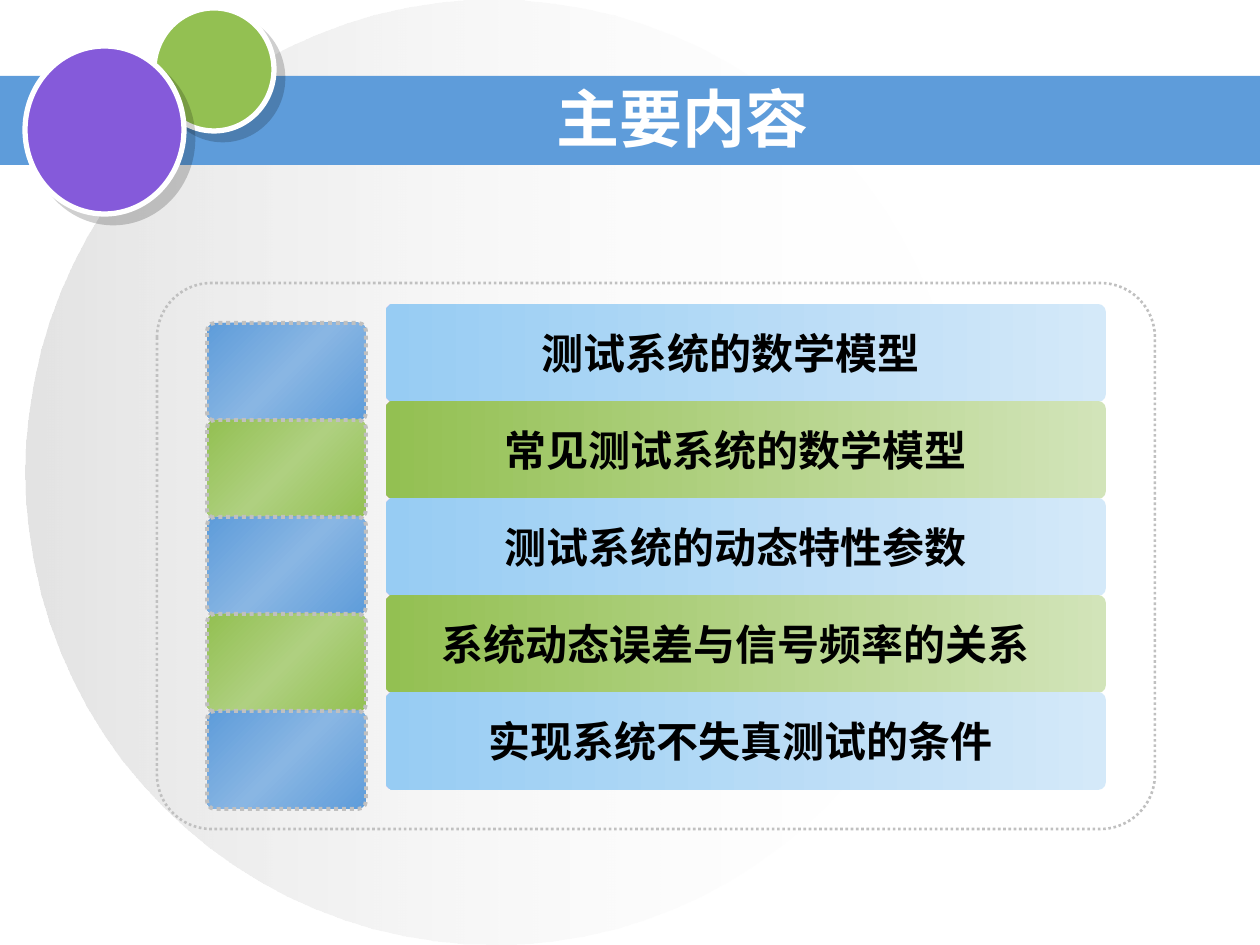
from lxml import etree
from pptx import Presentation
from pptx.dml.color import RGBColor
from pptx.enum.dml import MSO_LINE
from pptx.enum.shapes import MSO_SHAPE
from pptx.enum.text import MSO_ANCHOR, PP_ALIGN
from pptx.oxml.ns import qn
from pptx.util import Pt

PX = 914400 / 126
OVAL, RECT, ROUND = MSO_SHAPE.OVAL, MSO_SHAPE.RECTANGLE, MSO_SHAPE.ROUNDED_RECTANGLE
DOTTED = MSO_LINE.ROUND_DOT
CENTER, MIDDLE = PP_ALIGN.CENTER, MSO_ANCHOR.MIDDLE

COLORS = {
    "white": "FFFFFF", "black": "000000", "near_white": "FEFEFE", "grey": "C0C0C0",
    "blue": "5E9CDA", "blue_mid": "89B6E3", "sky": "97CCF3", "sky_pale": "D4E9F9",
    "green": "93C052", "green_mid": "AFD080", "green_pale": "D2E4B9",
    "purple": "855ADA",
}
# Each topic: text and how many px its centre sits left of the bar's centre
TOPICS = [
    ("测试系统的数学模型", 15),
    ("常见测试系统的数学模型", 10),
    ("测试系统的动态特性参数", 10),
    ("系统动态误差与信号频率的关系", 10),
    ("实现系统不失真测试的条件", 5),
]
# Bar gradient and tile gradient, alternating by row
ROW_STYLES = [
    (["sky_pale", "sky"], ["blue", "blue_mid", "blue"]),
    (["green_pale", "green"], ["green", "green_mid", "green"]),
]
ROW_PITCH = 97


def emu(px):
    return round(px * PX)


def rgb(name):
    return RGBColor.from_string(COLORS[name])


def add_color(parent, name, opacity):
    clr = etree.SubElement(parent, qn("a:srgbClr"), val=COLORS[name])
    if opacity < 100:
        etree.SubElement(clr, qn("a:alpha"), val=str(opacity * 1000))


class Deck:
    """Holds the style and the current slide."""

    font = "Arial"

    def __init__(self):
        self.prs = Presentation()
        self.prs.slide_width, self.prs.slide_height = emu(1260), emu(945)
        self.s = self.prs.slides.add_slide(self.prs.slide_layouts[5])

    def shape(self, kind, x, y, w, h, fill=None, line=None, width=1, dash=None, radius=None):
        sp = self.s.shapes.add_shape(kind, emu(x), emu(y), emu(w), emu(h))
        sp.shadow.inherit = False
        if radius is not None:
            sp.adjustments[0] = radius
        if fill:
            sp.fill.solid()
            sp.fill.fore_color.rgb = rgb(fill)
        else:
            sp.fill.background()
        if line:
            sp.line.color.rgb = rgb(line)
            sp.line.width = Pt(width)
            if dash:
                sp.line.dash_style = dash
        else:
            sp.line.fill.background()
        return sp

    def gradient(self, sp, names, angle, opacities=(100, 100, 100)):
        """Fill with evenly spaced stops; angle is clockwise in degrees."""
        sp.fill.gradient()
        grad = sp._element.spPr.find(qn("a:gradFill"))
        for child in list(grad):
            grad.remove(child)
        stops = etree.SubElement(grad, qn("a:gsLst"))
        for i, (name, opacity) in enumerate(zip(names, opacities)):
            pos = 100000 * i // (len(names) - 1)
            add_color(etree.SubElement(stops, qn("a:gs"), pos=str(pos)), name, opacity)
        etree.SubElement(grad, qn("a:lin"), ang=str(angle * 60000), scaled="0")

    def badge(self, x, y, w, h, fill):
        """White-ringed circle with a hard shadow to the lower right."""
        sp = self.shape(OVAL, x, y, w, h, fill, "white", 3)
        effects = sp._element.spPr.find(qn("a:effectLst"))
        shadow = etree.SubElement(effects, qn("a:outerShdw"), blurRad="0",
                                  dist=str(Pt(7.1)), dir=str(45 * 60000),
                                  algn="ctr", rotWithShape="0")
        add_color(shadow, "black", 19)

    def text(self, sp, text, size, color, shift):
        """Centre the text, moved left by shift px."""
        tf = sp.text_frame
        tf.word_wrap = True
        tf.vertical_anchor = MIDDLE
        tf.margin_left, tf.margin_right = emu(13), emu(13 + 2 * shift)
        tf.margin_top = tf.margin_bottom = emu(6)
        p = tf.paragraphs[0]
        p.text = text
        p.alignment = CENTER
        p.font.name, p.font.size, p.font.bold = self.font, Pt(size), True
        p.font.color.rgb = rgb(color)

    def title(self, text, x, y, w, h):
        sp = self.s.shapes.title
        sp.left, sp.top, sp.width, sp.height = emu(x), emu(y), emu(w), emu(h)
        self.text(sp, text, 36, "white", 15)
        self.s.shapes._spTree.append(sp._element)  # bring in front of the band

    def topic_bar(self, y, text, shift, colors):
        sp = self.shape(ROUND, 386, y, 720, 98, radius=0.08)
        self.gradient(sp, colors, 180)
        self.text(sp, text, 24, "black", shift)

    def topic_tile(self, y, colors):
        sp = self.shape(ROUND, 207, y, 159, 98, line="grey", width=2.25,
                        dash=DOTTED, radius=0.08)
        self.gradient(sp, colors, 225)


def main():
    deck = Deck()
    disc = deck.shape(OVAL, 25, 0, 937, 945)
    deck.gradient(disc, ["near_white", "grey"], 180, (0, 44))
    deck.shape(RECT, 0, 76, 1260, 89, "blue")
    deck.badge(154, 8, 120, 123, "green")
    deck.badge(25, 46, 159, 168, "purple")

    deck.shape(ROUND, 157, 283, 998, 546, line="grey", width=1.5, dash=DOTTED, radius=0.1)
    for i, (text, shift) in enumerate(TOPICS):
        bar_colors, tile_colors = ROW_STYLES[i % 2]
        deck.topic_bar(304 + i * ROW_PITCH, text, shift, bar_colors)
        deck.topic_tile(323 + i * ROW_PITCH, tile_colors)

    deck.title("主要内容", 283, 84, 829, 67)
    deck.prs.save("out.pptx")


if __name__ == "__main__":
    main()
